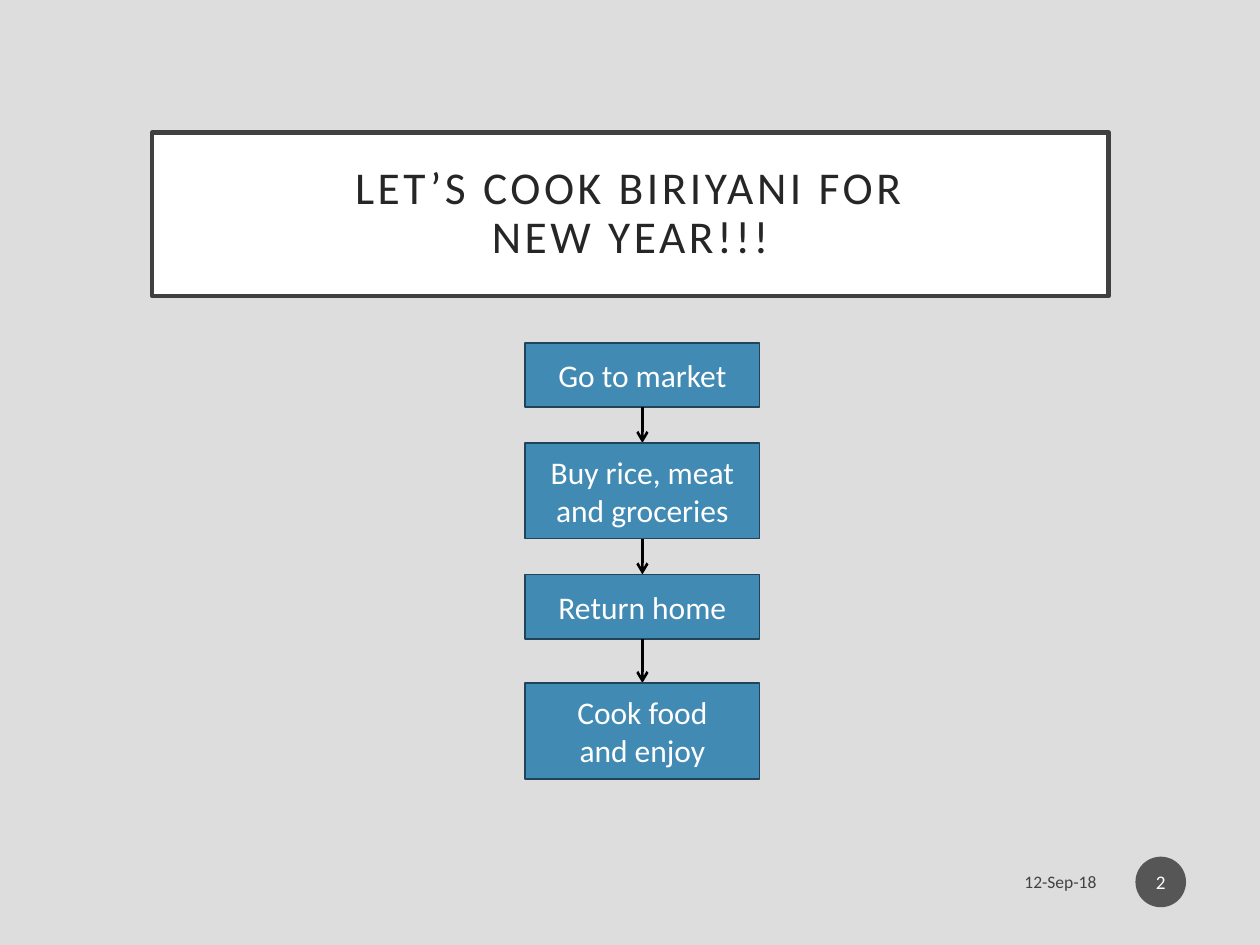
from pptx import Presentation
from pptx.dml.color import RGBColor
from pptx.enum.shapes import MSO_CONNECTOR, MSO_SHAPE
from pptx.enum.text import MSO_ANCHOR, PP_ALIGN
from pptx.oxml.ns import qn
from pptx.oxml.xmlchemy import OxmlElement
from pptx.util import Cm, Pt

COLORS = {
    "page": "DDDDDD", "white": "FFFFFF", "frame": "404040", "title": "262626",
    "step": "418AB3", "step_edge": "20455A", "black": "000000", "badge": "1D1D1D",
}
STEPS = [
    (["Go to market"], 1.3, 0.72),
    (["Buy rice, meat and groceries"], 1.93, 0.72),
    (["Return home"], 1.3, 0.89),
    (["Cook food", "and enjoy"], 1.93, 0),
]


def rgb(name):
    """Look up a named colour."""
    return RGBColor.from_string(COLORS[name])


def set_opacity(element, percent):
    """Make every colour below an element partly see-through."""
    for color in element.iter(qn("a:srgbClr")):
        alpha = OxmlElement("a:alpha")
        alpha.set("val", str(percent * 1000))
        color.append(alpha)


def add_box(page, kind, box, fill, edge=None, edge_width=1):
    """Add a flat preset shape in a box given in centimetres."""
    shape = page.shapes.add_shape(kind, *map(Cm, box))
    shape.shadow.inherit = False
    shape.fill.solid()
    shape.fill.fore_color.rgb = rgb(fill)
    if edge:
        shape.line.color.rgb = rgb(edge)
        shape.line.width = Pt(edge_width)
    else:
        shape.line.fill.background()
    return shape


def write(shape, lines, size, color, align=PP_ALIGN.CENTER):
    """Fill a shape with vertically centred paragraphs."""
    frame = shape.text_frame
    frame.word_wrap = True
    frame.vertical_anchor = MSO_ANCHOR.MIDDLE
    for index, line in enumerate(lines):
        para = frame.add_paragraph() if index else frame.paragraphs[0]
        para.text = line
        para.alignment = align
        para.font.name = "Calibri"
        para.font.size = Pt(size)
        para.font.color.rgb = rgb(color)
    return frame


def add_title(page, box):
    """Add the framed title with spaced letters."""
    shape = add_box(page, MSO_SHAPE.RECTANGLE, box, "white", "frame", 2.5)
    frame = write(shape, ["LET’S COOK BIRIYANI FOR\vNEW YEAR!!!"], 26, "title")
    frame.margin_left = frame.margin_right = Cm(0.51)
    frame.margin_top = frame.margin_bottom = Cm(0.51)
    frame.paragraphs[0].line_spacing = 0.9
    for properties in shape.element.iter(qn("a:defRPr")):
        properties.set("spc", "200")


def add_arrow(page, x, top, bottom):
    """Add a downward arrow between two steps."""
    arrow = page.shapes.add_connector(
        MSO_CONNECTOR.STRAIGHT, Cm(x), Cm(top), Cm(x), Cm(bottom))
    arrow.line.color.rgb = rgb("black")
    arrow.line.width = Pt(1.5)
    tail = OxmlElement("a:tailEnd")
    tail.set("type", "arrow")
    arrow.line._get_or_add_ln().append(tail)
    arrow.element.spPr.append(OxmlElement("a:effectLst"))


def add_flow(page, left, top, width):
    """Stack the steps and join each to the next."""
    for lines, height, gap in STEPS:
        step = add_box(page, MSO_SHAPE.RECTANGLE, (left, top, width, height),
                       "step", "step_edge")
        write(step, lines, 18, "white")
        bottom = top + height
        top = bottom + gap
        if gap:
            add_arrow(page, left + width / 2, bottom, top)


def add_footer(page, left, top):
    """Add the date and the round page number."""
    date = page.shapes.add_textbox(Cm(left), Cm(top + 0.05), Cm(5.74), Cm(0.89))
    write(date, ["12-Sep-18"], 10, "black", PP_ALIGN.RIGHT)
    set_opacity(date.element, 70)
    badge = add_box(page, MSO_SHAPE.OVAL, (left + 6.28, top, 1.02, 1.02), "badge")
    set_opacity(badge.element.spPr, 70)
    frame = write(badge, ["2"], 11, "white")
    frame.margin_left = frame.margin_right = Cm(0.05)


def main():
    """Build and save the deck."""
    deck = Presentation()
    deck.slide_width, deck.slide_height = Cm(25.4), Cm(19.05)
    page = deck.slides.add_slide(deck.slide_layouts[6])
    page.background.fill.solid()
    page.background.fill.fore_color.rgb = rgb("page")
    add_title(page, (3.07, 2.67, 19.28, 3.3))
    add_footer(page, 16.61, 17.27)
    add_flow(page, 10.59, 6.91, 4.72)
    deck.save("out.pptx")


main()
